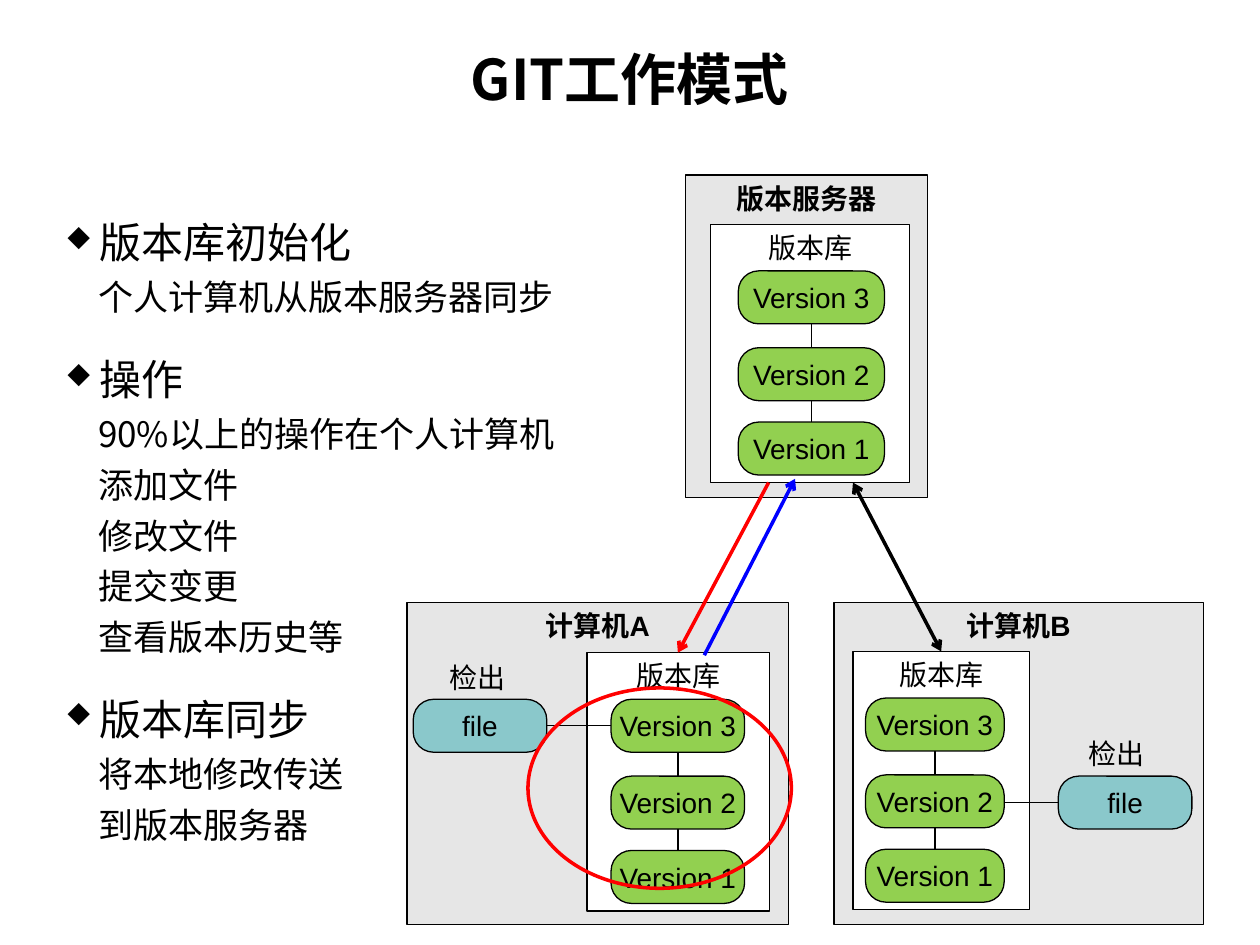
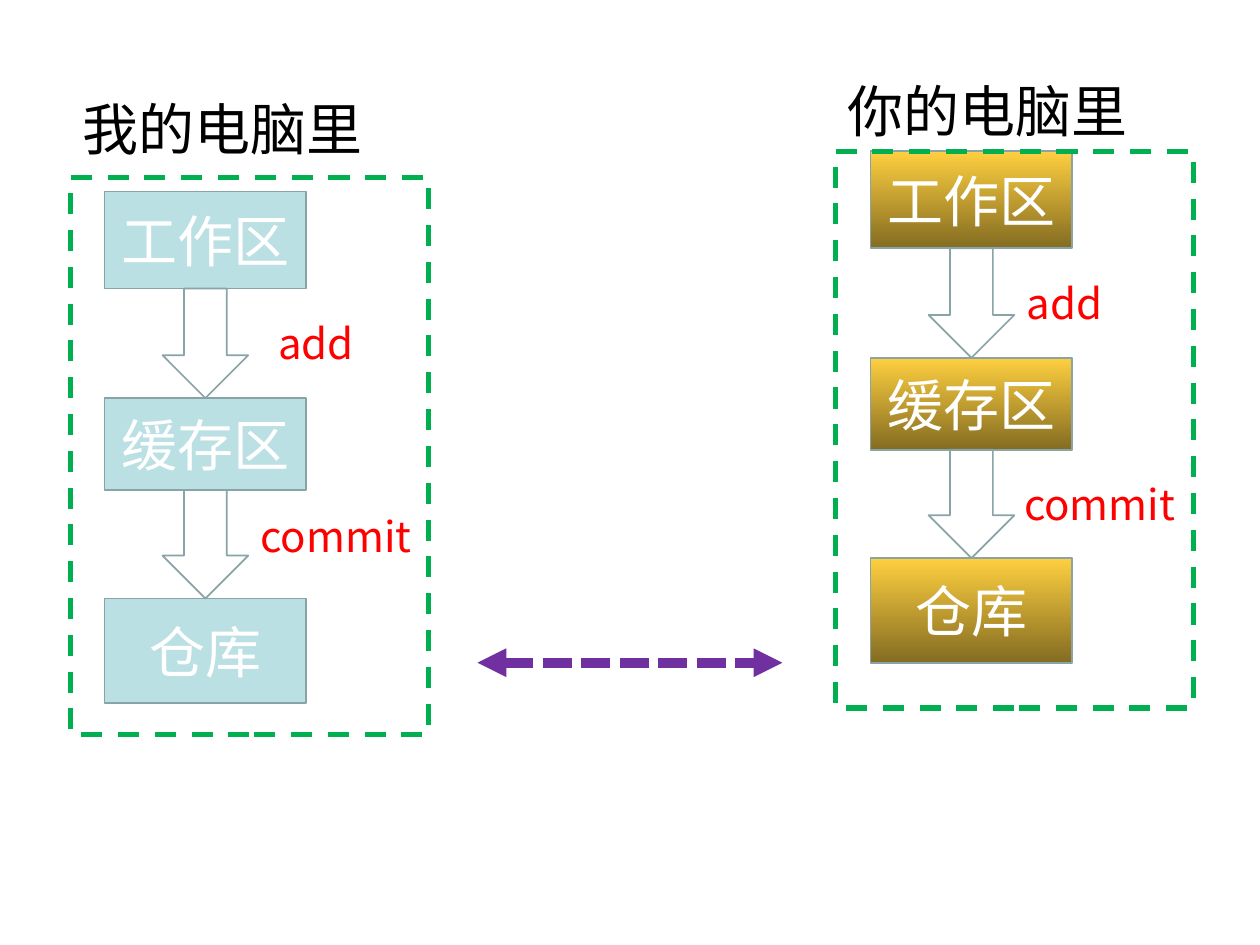
from lxml import etree
from pptx import Presentation
from pptx.dml.color import RGBColor
from pptx.enum.dml import MSO_LINE as Dash
from pptx.enum.shapes import MSO_CONNECTOR as Conn, MSO_SHAPE as Kind
from pptx.enum.text import MSO_ANCHOR as Anchor, PP_ALIGN as Align
from pptx.oxml.ns import qn
from pptx.util import Inches, Pt

HUES = {
    "black": "000000", "white": "FFFFFF", "grey": "E6E6E6", "green": "92D050",
    "teal": "8AC8CB", "red": "FF0000", "blue": "0000FF", "pale": "BBE0E3",
    "edge": "89A4A7", "gold": "FECF40", "brown": "846C21", "frame": "00B050",
    "purple": "7030A0",
}
SANS = "Arial"
HAN = "Noto Sans CJK SC"
PILL = 0.42
STEPS = {"Version 3": 0.37, "Version 2": 0.98, "Version 1": 1.57}
TOPICS = [
    ("版本库初始化", ["个人计算机从版本服务器同步"]),
    ("操作", ["90%以上的操作在个人计算机", "添加文件", "修改文件", "提交变更", "查看版本历史等"]),
    ("版本库同步", ["将本地修改传送", "到版本服务器"]),
]
AREAS = [("工作区", 0, 0.77), ("缓存区", 1.64, 0.73), ("仓库", 3.23, 0.83)]


def hue(name):
    return RGBColor.from_string(HUES[name])


def style(para, size, face=SANS, color="black", bold=False, align=Align.LEFT):
    para.alignment = align
    font = para.font
    font.size, font.bold, font.name = Pt(size), bold, face
    font.color.rgb = hue(color)
    east = etree.SubElement(font._element, qn("a:ea"))
    east.set("typeface", HAN)


def inset(frame, side, top):
    frame.margin_left = frame.margin_right = Inches(side)
    frame.margin_top = frame.margin_bottom = Inches(top)


def shape(slide, kind, x, y, w, h, fill=None, line="black", width=0.75, dash=None):
    """Add a preset shape; fill is None, a colour or a pair for a gradient."""
    item = slide.shapes.add_shape(kind, Inches(x), Inches(y), Inches(w), Inches(h))
    item.shadow.inherit = False
    if fill is None:
        item.fill.background()
    elif isinstance(fill, tuple):
        item.fill.gradient()
        item.fill.gradient_angle = 270
        for stop, name in zip(item.fill.gradient_stops, fill):
            stop.color.rgb = hue(name)
    else:
        item.fill.solid()
        item.fill.fore_color.rgb = hue(fill)
    item.line.color.rgb = hue(line)
    item.line.width = Pt(width)
    if dash:
        item.line.dash_style = dash
    return item


def write(item, text, size=16, anchor=Anchor.MIDDLE, wrap=False, **look):
    frame = item.text_frame
    frame.word_wrap = wrap
    frame.vertical_anchor = anchor
    inset(frame, 0, 0.05)
    frame.text = text
    style(frame.paragraphs[0], size, align=Align.CENTER, **look)


def label(slide, x, y, w, h, text, size, **look):
    box = slide.shapes.add_textbox(Inches(x), Inches(y), Inches(w), Inches(h))
    box.text_frame.word_wrap = True
    box.text_frame.text = text
    style(box.text_frame.paragraphs[0], size, **look)


def link(slide, start, end, color="black", width=0.75, head=None, tail=None, dash=None):
    ends = [Inches(v) for v in (*start, *end)]
    item = slide.shapes.add_connector(Conn.STRAIGHT, *ends)
    item.line.color.rgb = hue(color)
    item.line.width = Pt(width)
    if dash:
        item.line.dash_style = dash
    props = item._element.spPr
    for tag, kind in (("a:headEnd", head), ("a:tailEnd", tail)):
        if kind:
            etree.SubElement(props.find(qn("a:ln")), qn(tag)).set("type", kind)
    etree.SubElement(props, qn("a:effectLst"))


def pill(slide, x, y, w, text, fill):
    item = shape(slide, Kind.ROUNDED_RECTANGLE, x, y, w, PILL, fill)
    item.adjustments[0] = 0.386
    write(item, text)


def host(slide, name, panel, repo, pills):
    """Draw a machine: panel and repo are (x, y, w), pills is (x, w)."""
    for (x, y, w), h, fill, text in (
        (panel, 2.56, "grey", name), (repo, 2.05, "white", "版本库")
    ):
        item = shape(slide, Kind.RECTANGLE, x, y, w, h, fill)
        write(item, text, anchor=Anchor.TOP, bold=text == name)
    x, w = pills
    mid = x + w / 2
    tops = [repo[1] + step for step in STEPS.values()]
    for top, low in zip(tops, tops[1:]):
        link(slide, (mid, top + PILL), (mid, low))
    for text, top in zip(STEPS, tops):
        pill(slide, x, top, w, text, "green")


def bullet(para):
    props = para._p.get_or_add_pPr()
    props.set("indent", str(-Inches(0.27)))
    for tag, key, value in (
        ("a:buSzPct", "val", "65000"),
        ("a:buFont", "typeface", "Wingdings"),
        ("a:buChar", "char", "u"),
    ):
        etree.SubElement(props, qn(tag)).set(key, value)


def topics(slide):
    box = slide.shapes.add_textbox(Inches(0.38), Inches(1.47), Inches(4.82), Inches(5.75))
    frame = box.text_frame
    frame.word_wrap = True
    para = frame.paragraphs[0]
    for i, (head, notes) in enumerate(TOPICS):
        if i:
            para = frame.add_paragraph()
            para.space_before = Pt(6)
        para.line_spacing = 1.5
        para.text = head
        para._p.get_or_add_pPr().set("marL", str(Inches(0.31)))
        bullet(para)
        style(para, 24, HAN)
        for note in notes:
            para = frame.add_paragraph()
            para.space_before = Pt(5)
            para.text = note
            para._p.get_or_add_pPr().set("marL", str(Inches(0.3)))
            style(para, 20, HAN)


def title(slide, text):
    item = slide.shapes.title
    item.left, item.top = Inches(0.5), Inches(0.3)
    item.width, item.height = Inches(9), Inches(1.02)
    frame = item.text_frame
    frame.vertical_anchor = Anchor.TOP
    inset(frame, 0.1, 0.05)
    frame.text = text
    style(frame.paragraphs[0], 32, HAN, bold=True, align=Align.CENTER)


def modes(deck):
    slide = deck.slides.add_slide(deck.slide_layouts[5])
    title(slide, "GIT工作模式")
    topics(slide)
    host(slide, "版本服务器", (5.44, 1.39, 1.92), (5.64, 1.78, 1.58), (5.86, 1.16))
    host(slide, "计算机A", (3.23, 4.78, 3.03), (4.66, 5.18, 1.45), (4.85, 1.06))
    host(slide, "计算机B", (6.62, 4.78, 2.93), (6.77, 5.17, 1.4), (6.87, 1.1))
    for x, y, tag, start, end in (
        (3.28, 5.55, 3.47, 4.85, 4.34), (8.4, 6.16, 8.54, 7.97, 8.4)
    ):
        pill(slide, x, y, 1.06, "file", "teal")
        label(slide, tag, y - 0.36, 0.89, 0.37, "检出", 16)
        link(slide, (start, y + PILL / 2), (end, y + PILL / 2))
    link(slide, (6.1, 3.83), (5.38, 5.18), "red", 2, tail="arrow")
    link(slide, (7.47, 5.17), (6.77, 3.83), width=2, head="arrow", tail="arrow")
    shape(slide, Kind.OVAL, 4.19, 5.46, 2.09, 1.59, line="red", width=2)
    link(slide, (5.59, 5.2), (6.31, 3.8), "blue", 2, tail="arrow")


def flow(slide, name, x, y, fill, frame, head, tags):
    """Draw one computer's areas; frame is (x, y), tags are label places."""
    for text, step, h in AREAS:
        item = shape(slide, Kind.RECTANGLE, x, y + step, 1.6, h, fill, "edge", 1)
        write(item, text, 32, wrap=True, face=HAN, color="white")
    for (_, step, h), (_, low, _) in zip(AREAS, AREAS[1:]):
        top = step + h
        shape(slide, Kind.DOWN_ARROW, x + 0.46, y + top, 0.68, low - top, line="edge", width=1)
    shape(slide, Kind.RECTANGLE, *frame, 2.84, 4.42, line="frame", width=3, dash=Dash.DASH)
    for text, w, place in zip(("add", "commit"), (0.97, 1.43), tags):
        label(slide, *place, w, 0.5, text, 24, face=HAN, color="red")
    label(slide, frame[0], head, 2.84, 0.64, name, 32)


def areas(deck):
    slide = deck.slides.add_slide(deck.slide_layouts[6])
    flow(slide, "我的电脑里", 0.83, 1.52, "pale", (0.56, 1.41), 0.7,
         [(2.11, 2.47), (1.97, 4)])
    flow(slide, "你的电脑里", 6.91, 1.2, ("gold", "brown"), (6.63, 1.2), 0.56,
         [(8.05, 2.15), (8.03, 3.75)])
    link(slide, (3.79, 5.26), (6.21, 5.26), "purple", 5.5, "triangle", "triangle",
         Dash.SQUARE_DOT)


def main():
    deck = Presentation()
    deck.slide_width, deck.slide_height = Inches(10), Inches(7.5)
    modes(deck)
    areas(deck)
    deck.save("out.pptx")


if __name__ == "__main__":
    main()
